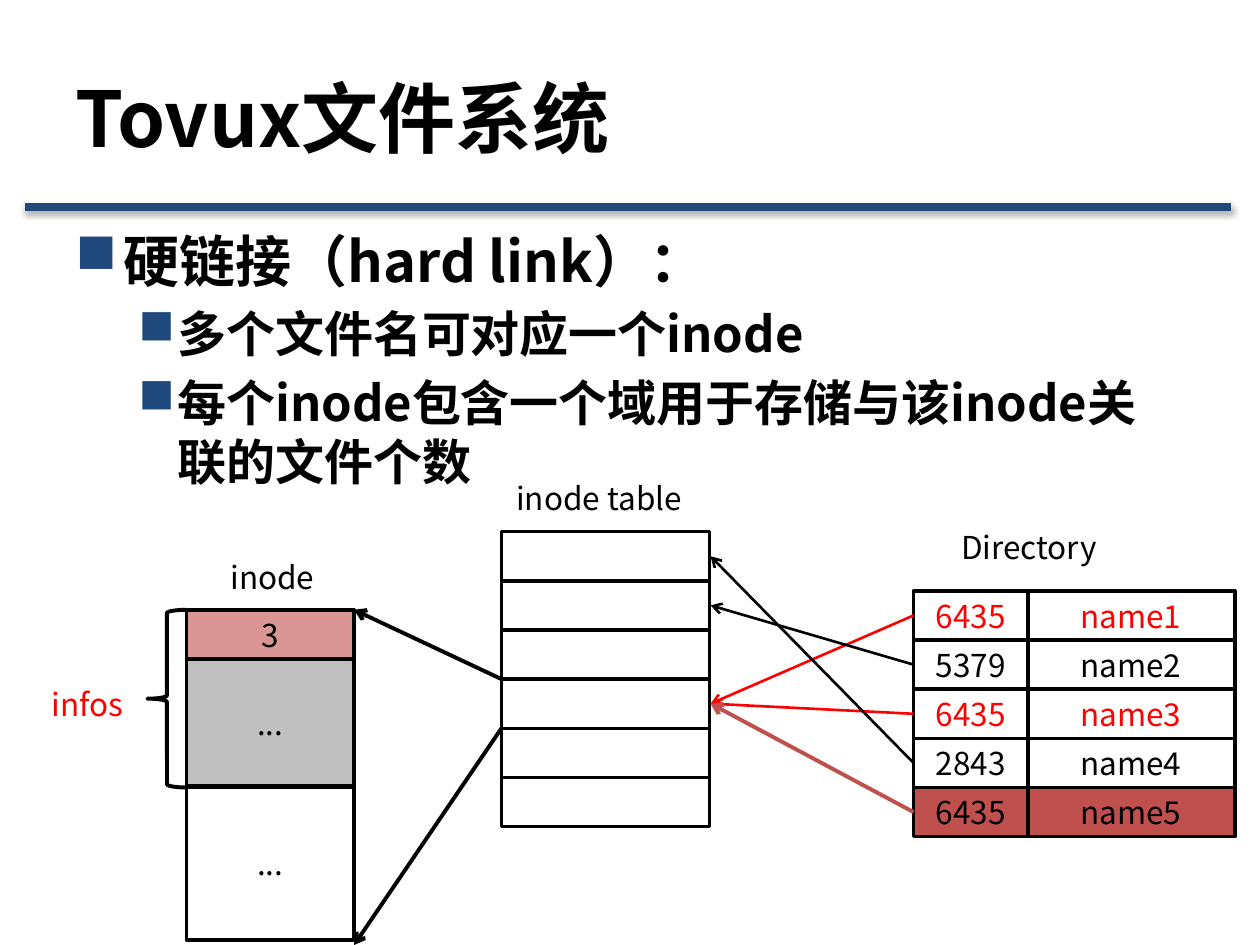
from lxml import etree
from pptx import Presentation
from pptx.dml.color import RGBColor
from pptx.enum.shapes import MSO_CONNECTOR, MSO_SHAPE
from pptx.enum.text import MSO_ANCHOR, MSO_AUTO_SIZE, PP_ALIGN
from pptx.oxml.ns import qn
from pptx.util import Inches, Pt

RECTANGLE = MSO_SHAPE.RECTANGLE
LEFT_BRACE = MSO_SHAPE.LEFT_BRACE
STRAIGHT = MSO_CONNECTOR.STRAIGHT
MIDDLE = MSO_ANCHOR.MIDDLE
TOP = MSO_ANCHOR.TOP
CENTER = PP_ALIGN.CENTER
FIT_SHAPE = MSO_AUTO_SIZE.SHAPE_TO_FIT_TEXT

FONT = "Noto Sans CJK SC"
BLACK, WHITE, RED = "000000", "FFFFFF", "FF0000"
NAVY, BRICK, PINK, GRAY = "1F497D", "C0504D", "D99694", "BFBFBF"

ROW = 0.39
TABLE_LEFT, TABLE_TOP, TABLE_WIDTH, SLOTS = 3.98, 4.22, 1.65, 6
TABLE_RIGHT = 5.64
ID_LEFT, ID_WIDTH, NAME_LEFT, NAME_WIDTH = 7.25, 0.91, 8.15, 1.65
DIRECTORY_TOP = 4.69
INODE_LEFT, INODE_TOP, INODE_WIDTH = 1.48, 4.84, 1.33
INODE_RIGHT = INODE_LEFT + INODE_WIDTH

# inode number, file name, text colour, fill, inode table slot, arrow colour, arrow width
ENTRIES = [
    ("6435", "name1", RED, WHITE, 3, RED, 1.5),
    ("5379", "name2", BLACK, WHITE, 1, BLACK, 1.5),
    ("6435", "name3", RED, WHITE, 3, RED, 1.5),
    ("2843", "name4", BLACK, WHITE, 0, BLACK, 1.5),
    ("6435", "name5", BLACK, BRICK, 3, BRICK, 2.25),
]

# text, size, left margin, hanging indent
BULLETS = [
    ("硬链接（hard link）：", 32, 0.38, 0.38),
    ("多个文件名可对应一个inode", 28, 0.81, 0.31),
    ("每个inode包含一个域用于存储与该inode关联的文件个数", 28, 0.81, 0.31),
]


def rgb(color):
    return RGBColor.from_string(color)


def add_child(parent, tag, **attributes):
    return etree.SubElement(parent, qn(tag), attributes)


def write(para, text, size, color=BLACK, bold=False):
    para.add_run().text = text
    font = para.font
    font.size = Pt(size)
    font.bold = bold
    font.name = FONT
    font.color.rgb = rgb(color)
    defaults = para._p.pPr.find(qn("a:defRPr"))
    add_child(defaults, "a:ea", typeface=FONT)


def add_bullet(para, margin, hanging):
    properties = para._p.pPr
    properties.set("marL", str(Inches(margin)))
    properties.set("indent", str(-Inches(hanging)))
    defaults = properties.find(qn("a:defRPr"))
    bullet_color = add_child(properties, "a:buClr")
    add_child(bullet_color, "a:srgbClr", val=NAVY)
    # The letter n is a solid square in Wingdings
    bullet_font = add_child(properties, "a:buFont", typeface="Wingdings", charset="2")
    bullet_char = add_child(properties, "a:buChar", char="n")
    for element in (bullet_color, bullet_font, bullet_char):
        defaults.addprevious(element)


def add_text_box(page, left, top, width, height, anchor=TOP):
    box = page.shapes.add_textbox(Inches(left), Inches(top), Inches(width), Inches(height))
    box.text_frame.word_wrap = True
    box.text_frame.vertical_anchor = anchor
    return box.text_frame


def add_label(page, left, top, width, text, color=BLACK):
    frame = add_text_box(page, left, top, width, 0.4)
    frame.word_wrap = False
    frame.auto_size = FIT_SHAPE
    write(frame.paragraphs[0], text, 18, color)


def add_outline(page, kind, left, top, width, height, fill=None, line_width=2):
    shape = page.shapes.add_shape(kind, Inches(left), Inches(top), Inches(width), Inches(height))
    shape.shadow.inherit = False
    if fill:
        shape.fill.solid()
        shape.fill.fore_color.rgb = rgb(fill)
    else:
        shape.fill.background()
    shape.line.color.rgb = rgb(BLACK)
    shape.line.width = Pt(line_width)
    return shape


def add_cell(page, left, top, width, height, fill=None, text="", color=BLACK):
    cell = add_outline(page, RECTANGLE, left, top, width, height, fill)
    if text:
        cell.text_frame.vertical_anchor = MIDDLE
        para = cell.text_frame.paragraphs[0]
        para.alignment = CENTER
        write(para, text, 18, color)


def add_line(page, start, end, color, width):
    """Draw a straight line and return it with its empty effect list."""
    line = page.shapes.add_connector(STRAIGHT, *map(Inches, start + end))
    line.line.color.rgb = rgb(color)
    line.line.width = Pt(width)
    effects = add_child(line._element.spPr, "a:effectLst")
    return line, effects


def add_arrow(page, start, end, color, width):
    line, _ = add_line(page, start, end, color, width)
    add_child(line.line._get_or_add_ln(), "a:tailEnd", type="arrow")


def add_heading(page):
    _, effects = add_line(page, (0.2, 1.64), (9.77, 1.64), NAVY, 4.5)
    shadow = add_child(effects, "a:outerShdw", blurRad=str(Pt(3.1)), dist=str(Pt(1.8)),
                       dir="5400000", rotWithShape="0")
    shade = add_child(shadow, "a:srgbClr", val=BLACK)
    add_child(shade, "a:alpha", val="35000")
    title = add_text_box(page, 0.5, 0.3, 9, 1.25, MIDDLE)
    write(title.paragraphs[0], "Tovux文件系统", 44, bold=True)


def add_body(page):
    frame = add_text_box(page, 0.5, 1.75, 9, 4.95)
    for index, (text, size, margin, hanging) in enumerate(BULLETS):
        para = frame.add_paragraph() if index else frame.paragraphs[0]
        para.level = min(index, 1)
        para.space_before = Pt(0.2 * size)
        write(para, text, size, bold=True)
        add_bullet(para, margin, hanging)


def add_inode_table(page):
    add_label(page, 4, 3.75, 1.57, "inode table")
    for slot in range(SLOTS):
        add_cell(page, TABLE_LEFT, TABLE_TOP + slot * ROW, TABLE_WIDTH, ROW, WHITE)


def add_directory(page):
    add_label(page, 7.53, 4.14, 1.32, "Directory")
    for index, (number, name, color, fill, slot, arrow_color, width) in enumerate(ENTRIES):
        top = DIRECTORY_TOP + index * ROW
        add_cell(page, NAME_LEFT, top, NAME_WIDTH, ROW, fill, name, color)
        add_cell(page, ID_LEFT, top, ID_WIDTH, ROW, fill, number, color)
        slot_middle = TABLE_TOP + (slot + 0.5) * ROW
        add_arrow(page, (ID_LEFT, top + ROW / 2), (TABLE_RIGHT, slot_middle), arrow_color, width)


def add_inode(page):
    add_label(page, 1.73, 4.38, 0.89, "inode")
    add_label(page, 0.31, 5.39, 0.79, "infos", RED)
    add_cell(page, INODE_LEFT, 5.23, INODE_WIDTH, 1.02, GRAY, "...")
    add_cell(page, INODE_LEFT, 6.24, INODE_WIDTH, 1.22, None, "...")
    add_cell(page, INODE_LEFT, INODE_TOP, INODE_WIDTH, ROW, PINK, "3")
    add_outline(page, LEFT_BRACE, 1.17, INODE_TOP, 0.31, 1.41, line_width=2.25)
    # The fourth table slot expands into the inode
    for slot_edge, inode_edge in ((3, INODE_TOP), (4, 7.5)):
        start = (TABLE_LEFT, TABLE_TOP + slot_edge * ROW)
        add_arrow(page, start, (INODE_RIGHT, inode_edge), BLACK, 2.25)


def main():
    deck = Presentation()
    deck.slide_width, deck.slide_height = Inches(10), Inches(7.5)
    page = deck.slides.add_slide(deck.slide_layouts[6])
    add_heading(page)
    add_body(page)
    add_inode_table(page)
    add_directory(page)
    add_inode(page)
    deck.save("out.pptx")


if __name__ == "__main__":
    main()
